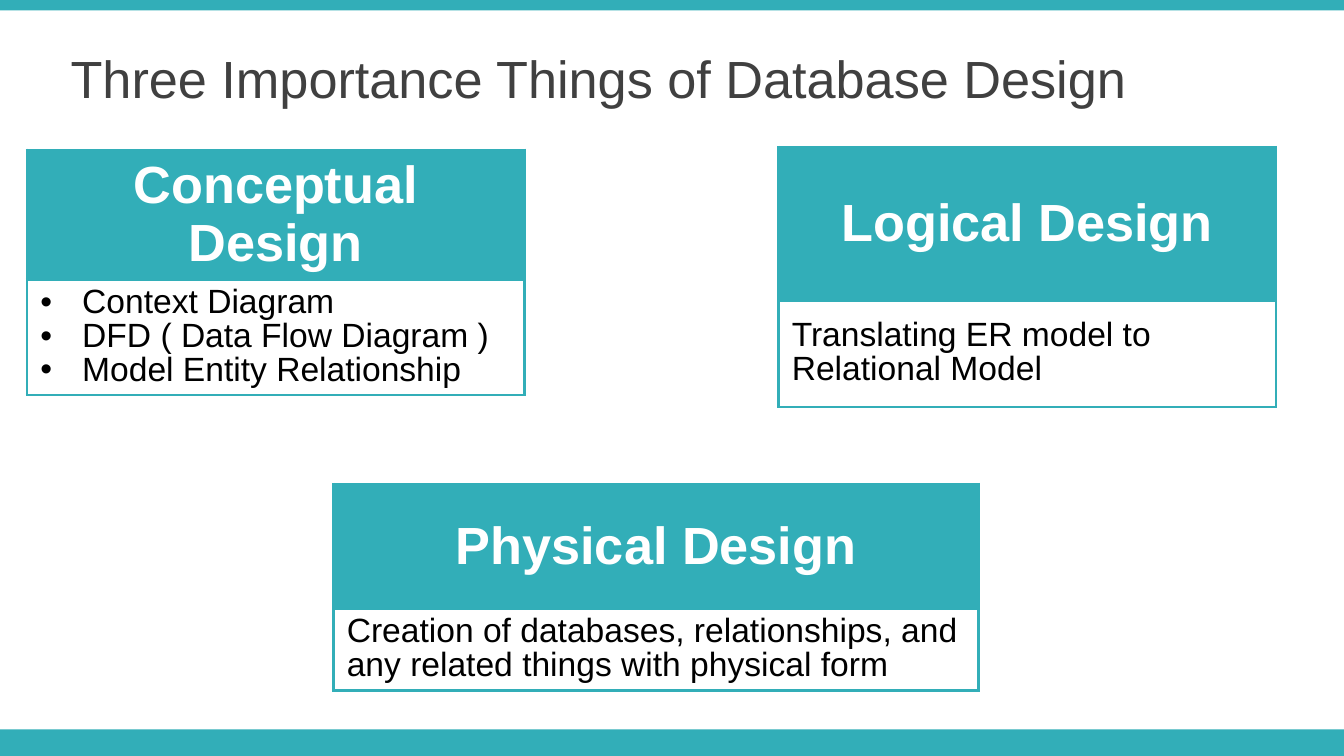
from lxml import etree
from pptx import Presentation, oxml
from pptx.dml.color import RGBColor
from pptx.enum import shapes, text
from pptx.oxml import ns
from pptx.util import Cm, Pt

COLOURS = {"teal": "32AEB8", "white": "FFFFFF", "black": "000000", "title": "404040"}
FONT = "Arial"
WIDTH, HEIGHT = 25.4, 14.29

CARDS = [
    ((0.51, 2.83, 9.4), (2.45, 2.18), "Conceptual Design",
     ["Context Diagram", "DFD ( Data Flow Diagram )", "Model Entity Relationship"], True),
    ((14.71, 2.78, 9.4), (2.9, 2.01), "Logical Design",
     ["Translating ER model to Relational Model"], False),
    ((6.3, 9.15, 12.19), (2.35, 1.55), "Physical Design",
     ["Creation of databases, relationships, and any related things with physical form"], False),
]


def colour(name):
    return RGBColor.from_string(COLOURS[name])


def style_font(font, size, name, bold=False):
    font.name, font.size, font.bold = FONT, Pt(size), bold
    font.color.rgb = colour(name)


def add_band(page, top, height):
    band = page.shapes.add_shape(shapes.MSO_SHAPE.RECTANGLE, 0, Cm(top), Cm(WIDTH), Cm(height))
    band.shadow.inherit = False
    band.fill.solid()
    band.fill.fore_color.rgb = colour("teal")
    band.line.fill.background()


def place_title(page, box, words):
    title = page.shapes.title
    title.left, title.top, title.width, title.height = map(Cm, box)
    frame = title.text_frame
    frame.text = words
    frame.word_wrap = True
    frame.auto_size = text.MSO_AUTO_SIZE.NONE
    frame.vertical_anchor = text.MSO_ANCHOR.MIDDLE
    para = frame.paragraphs[0]
    para.alignment = text.PP_ALIGN.CENTER
    style_font(para.font, 28, "title")


def format_cell(cell, fill):
    properties = cell._tc.get_or_add_tcPr()
    for side in ("lnL", "lnR", "lnT", "lnB"):
        properties.append(oxml.parse_xml(
            f'<a:{side} {ns.nsdecls("a")} w="{Pt(1.5)}"><a:solidFill>'
            f'<a:srgbClr val="{COLOURS["teal"]}"/></a:solidFill></a:{side}>'))
    cell.fill.solid()
    cell.fill.fore_color.rgb = colour(fill)
    cell.vertical_anchor = text.MSO_ANCHOR.MIDDLE


def add_bullet(para):
    properties = para._p.get_or_add_pPr()
    indent = Cm(0.79)
    properties.set("marL", str(indent))
    properties.set("indent", str(-indent))
    etree.SubElement(properties, ns.qn("a:buFont"), typeface=FONT)
    etree.SubElement(properties, ns.qn("a:buChar"), char="•")


def add_card(page, box, heights, heading, lines, bulleted):
    left, top, width = box
    table = page.shapes.add_table(
        2, 1, Cm(left), Cm(top), Cm(width), Cm(sum(heights))).table
    table.first_row = table.horz_banding = False
    for row, height in zip(table.rows, heights):
        row.height = Cm(height)

    head, body = table.cell(0, 0), table.cell(1, 0)
    format_cell(head, "teal")
    head.text = heading
    para = head.text_frame.paragraphs[0]
    para.alignment = text.PP_ALIGN.CENTER
    style_font(para.font, 28, "white", True)

    format_cell(body, "white")
    body.text = "\n".join(lines)
    for para in body.text_frame.paragraphs:
        para.line_spacing = 0.9
        if bulleted:
            add_bullet(para)
        style_font(para.font, 18, "black")


def main():
    deck = Presentation()
    deck.slide_width, deck.slide_height = Cm(WIDTH), Cm(HEIGHT)
    page = deck.slides.add_slide(deck.slide_layouts[5])
    add_band(page, HEIGHT - 0.5, 0.5)
    add_band(page, 0, 0.2)
    place_title(page, (-0.71, 0.66, 24.03, 1.6), "Three Importance Things of Database Design")
    for card in CARDS:
        add_card(page, *card)
    deck.save("out.pptx")


if __name__ == "__main__":
    main()
